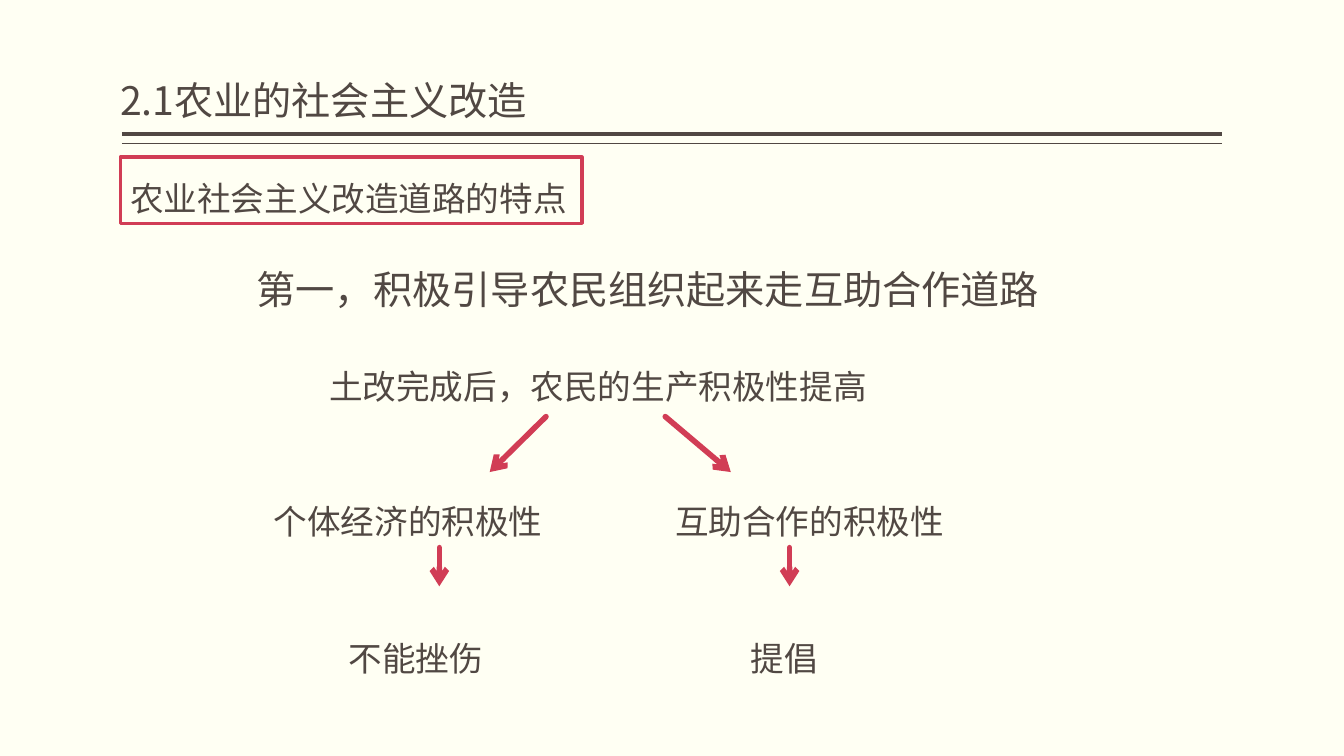
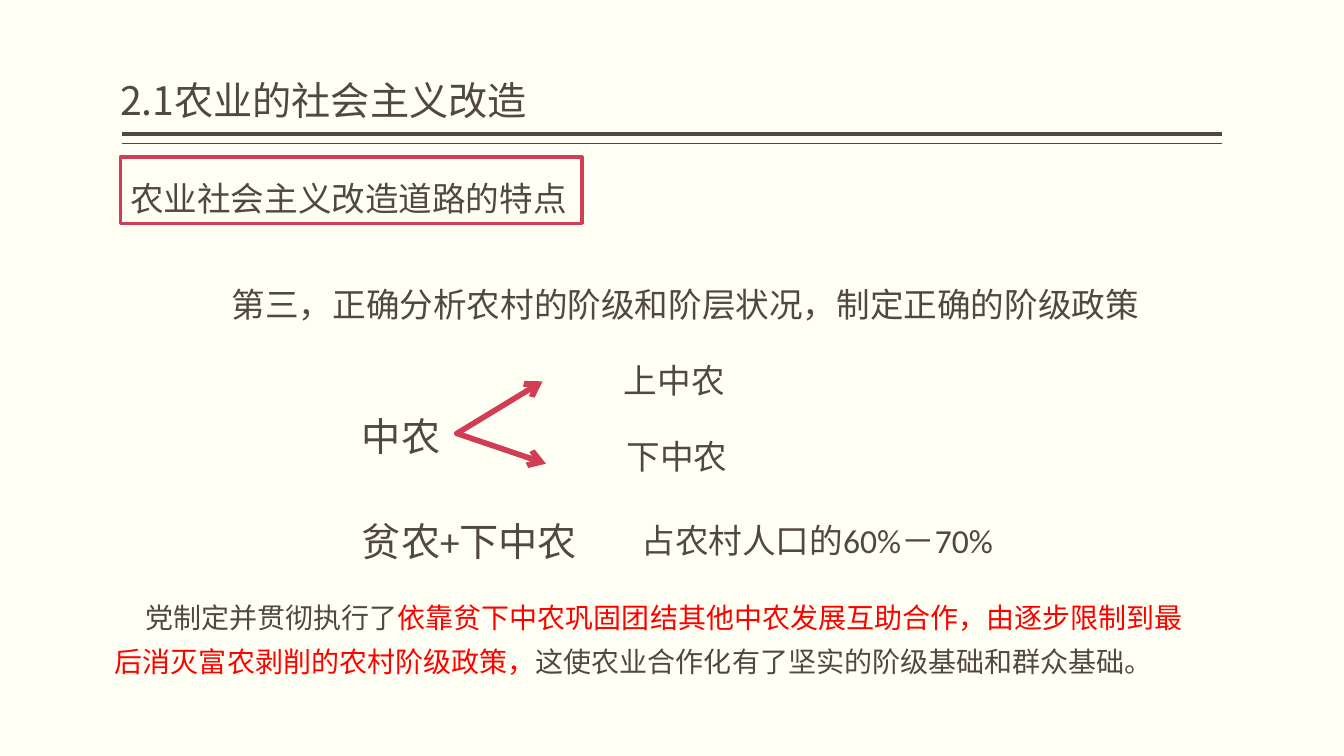
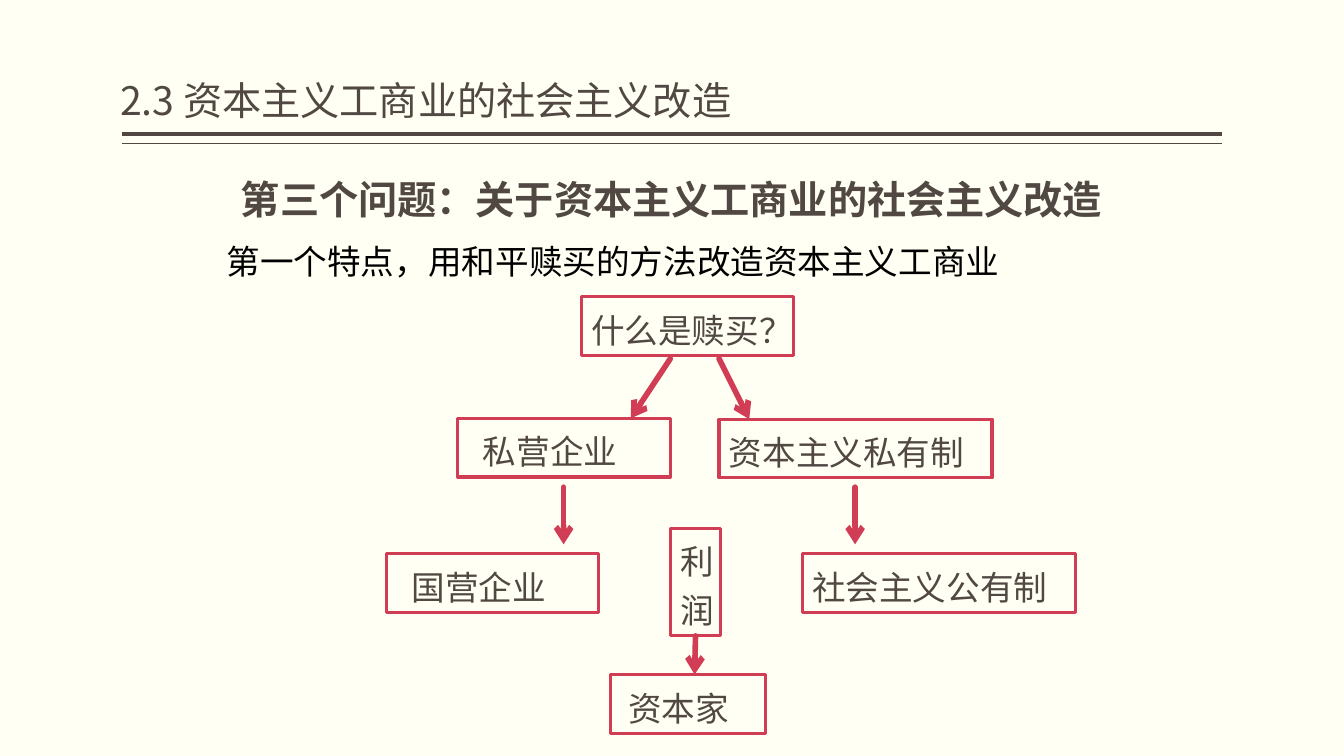
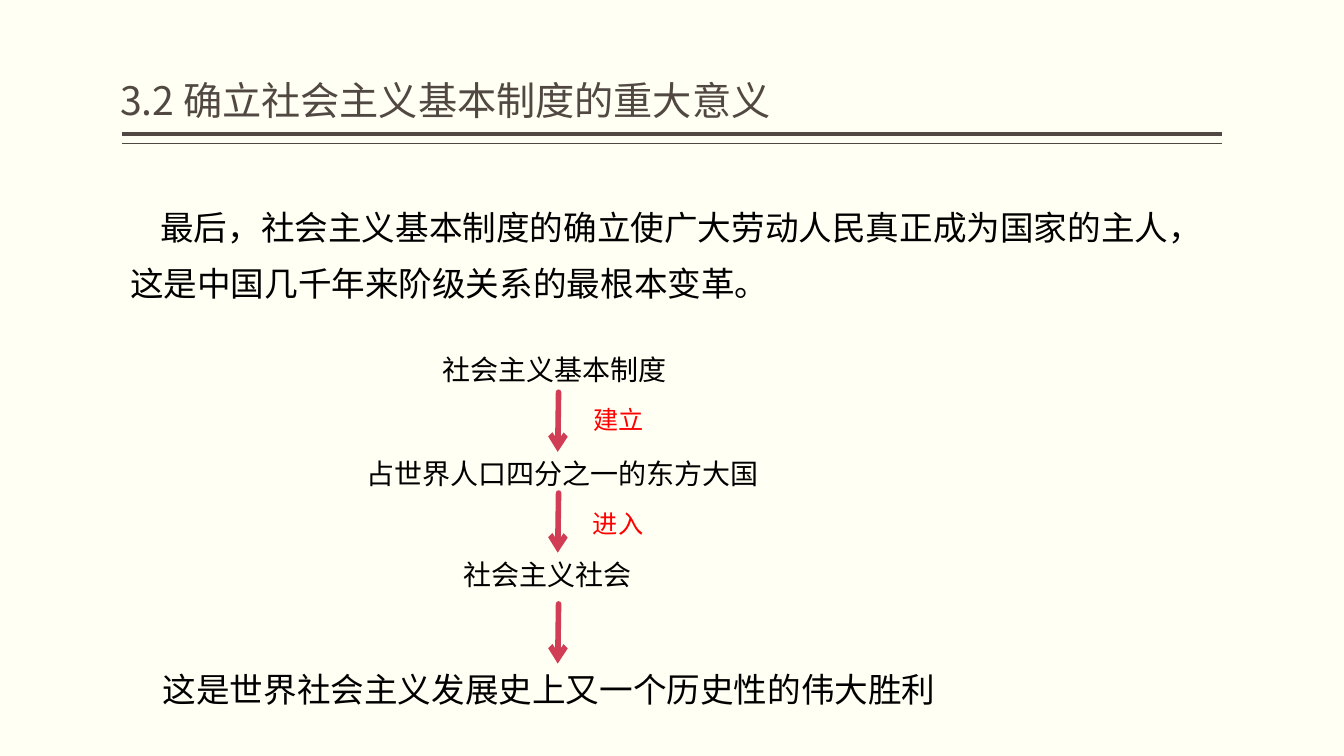
"""Build four slides on the socialist transformation on a 160 by 90 cell grid."""
from dataclasses import dataclass

import pptx
import pptx.dml.color
import pptx.enum.shapes
import pptx.enum.text
import pptx.oxml
import pptx.oxml.ns
import pptx.util
from lxml import etree

RGBColor = pptx.dml.color.RGBColor
PAPER = RGBColor(0xFF, 0xFF, 0xF3)
INK = RGBColor(0x51, 0x48, 0x43)
ROSE = RGBColor(0xD1, 0x3D, 0x55)
RED = RGBColor(0xFF, 0x00, 0x00)
BLACK = RGBColor(0x00, 0x00, 0x00)

CELL = pptx.util.Emu(76200)
COLUMNS, ROWS = 160, 90
BODY_FONT = "Calibri"
CJK_FONT = "Noto Sans CJK SC"
SPACE = 0.9
INSET = 1.2


@dataclass(frozen=True)
class Label:
    """A text block placed in grid cells; red names the part shown in red."""
    text: str
    x: float
    y: float
    w: float
    h: float = 7.9
    size: int = 24
    spacing: float = 1.4
    color: RGBColor = INK
    bold: bool = False
    indent: float = 0
    red: str = ""
    font: str = BODY_FONT
    boxed: bool = False


@dataclass(frozen=True)
class Arrow:
    """An arrow between two grid points, optionally starting below a box."""
    x1: float
    y1: float
    x2: float
    y2: float
    source: str = ""


@dataclass(frozen=True)
class Page:
    """The title, text blocks and arrows of one slide."""
    title: str
    labels: tuple[Label, ...]
    arrows: tuple[Arrow, ...]


def cells(n: float) -> pptx.util.Emu:
    """Convert grid cells to a length."""
    return pptx.util.Emu(round(n * CELL))


def box(text: str, x: float, y: float, w: float, h: float = 7,
        indent: float = 0, spacing: float = 1.2) -> Label:
    """Describe an outlined block."""
    return Label(text, x, y, w, h, spacing=spacing, indent=indent, boxed=True)


def add_label(slide, label: Label):
    """Draw a text block, outlined if it is boxed."""
    area = [cells(n) for n in (label.x, label.y, label.w, label.h)]
    if label.boxed:
        sp = slide.shapes.add_shape(pptx.enum.shapes.MSO_SHAPE.RECTANGLE, *area)
        sp.shadow.inherit = False
        sp.fill.background()
        sp.line.color.rgb = ROSE
        sp.line.width = pptx.util.Pt(2.25)
    else:
        sp = slide.shapes.add_textbox(*area)
    tf = sp.text_frame
    tf.word_wrap = True
    tf.vertical_anchor = pptx.enum.text.MSO_ANCHOR.TOP
    tf.margin_left = cells(INSET)
    tf.margin_right = 0 if label.boxed else cells(INSET)
    p = tf.paragraphs[0]
    p.alignment = pptx.enum.text.PP_ALIGN.LEFT
    p.line_spacing = label.spacing
    if label.indent:
        p._p.get_or_add_pPr().set("indent", str(cells(label.indent)))
    p.font.size = pptx.util.Pt(label.size)
    p.font.bold = label.bold
    p.font.color.rgb = label.color
    p.font.name = label.font
    latin = p._p.pPr.find(".//" + pptx.oxml.ns.qn("a:latin"))
    ea = etree.Element(pptx.oxml.ns.qn("a:ea"), typeface=CJK_FONT)
    latin.addnext(ea)
    parts = label.text.partition(label.red) if label.red else (label.text,)
    for part in filter(None, parts):
        r = p.add_run()
        r.text = part
        if part == label.red:
            r.font.color.rgb = RED
    return sp


def add_line(slide, x1: float, y1: float, x2: float, y2: float,
             color: RGBColor, width: float):
    """Draw a straight line without a shadow."""
    line = slide.shapes.add_connector(
        pptx.enum.shapes.MSO_CONNECTOR.STRAIGHT, *map(cells, (x1, y1, x2, y2)))
    line.line.color.rgb = color
    line.line.width = pptx.util.Pt(width)
    etree.SubElement(line._element.spPr, pptx.oxml.ns.qn("a:effectLst"))
    return line


def add_arrow(slide, arrow: Arrow, shapes: dict) -> None:
    """Draw a round-capped arrow, joined to its source box if it has one."""
    line = add_line(slide, arrow.x1, arrow.y1, arrow.x2, arrow.y2, ROSE, 4)
    ln = line.line._get_or_add_ln()
    ln.set("cap", "rnd")
    etree.SubElement(ln, pptx.oxml.ns.qn("a:round"))
    etree.SubElement(ln, pptx.oxml.ns.qn("a:tailEnd"), type="arrow")
    if arrow.source:
        line.begin_connect(shapes[arrow.source], 2)


def add_title(slide, title: str) -> None:
    """Draw the double rule and the title above it."""
    for y, width in ((16, 3), (17.1, 1)):
        add_line(slide, 14.5, y, 145.5, y, INK, width)
    sp = add_label(slide, Label(title, 14.3, 1, 131, 14.4, size=28,
                                spacing=0.9, font=CJK_FONT))
    tf = sp.text_frame
    tf.margin_left = tf.margin_right = 0
    tf.vertical_anchor = pptx.enum.text.MSO_ANCHOR.BOTTOM


def add_page(prs, page: Page) -> None:
    """Add one slide."""
    slide = prs.slides.add_slide(prs.slide_layouts[6])
    add_title(slide, page.title)
    shapes = {label.text: add_label(slide, label) for label in page.labels}
    for arrow in page.arrows:
        add_arrow(slide, arrow, shapes)


FARMING = "2.1农业的社会主义改造"
FEATURES = box("农业社会主义改造道路的特点", 14.3, 18.7, 55, 7.9, spacing=1.4)

PAGES = (
    Page(FARMING, (
        FEATURES,
        Label("第一，积极引导农民组织起来走互助合作道路", 29.3, 28.7, 101.2, 9.1, size=28),
        Label("土改完成后，农民的生产积极性提高", 38, 41, 68.2),
        Label("个体经济的积极性", 31.4, 57.1, 34.9),
        Label("互助合作的积极性", 79.2, 57.1, 34.9),
        Label("不能挫伤", 40.3, 73.4, 20.5),
        Label("提倡", 88.2, 73.4, 11.5),
    ), (
        Arrow(65, 49.6, 58.3, 56.2),
        Arrow(79.2, 49.6, 87, 56.2),
        Arrow(52.3, 65.2, 52.3, 69.8),
        Arrow(94, 65.2, 94, 69.8),
    )),
    Page(FARMING, (
        FEATURES,
        Label("第三，正确分析农村的阶级和阶层状况，制定正确的阶级政策",
              22.8, 31.3, 122.5, indent=4 * SPACE),
        Label("中农", 41, 46.3, 15, 9.1, size=28, indent=SPACE),
        Label("上中农", 72.2, 40.4, 23.2, indent=SPACE),
        Label("下中农", 72.5, 49.4, 23.2, indent=SPACE),
        Label("贫农+下中农", 41, 58.8, 34.4, 9.1, size=28, indent=SPACE),
        Label("占农村人口的60%－70%", 74.3, 59.4, 61, indent=SPACE),
        Label("党制定并贯彻执行了依靠贫下中农巩固团结其他中农发展互助合作，"
              "由逐步限制到最后消灭富农剥削的农村阶级政策，"
              "这使农业合作化有了坚实的阶级基础和群众基础。",
              12.5, 69.7, 132, 12.7, size=20, spacing=1.3, indent=4 * SPACE,
              red="依靠贫下中农巩固团结其他中农发展互助合作，"
                  "由逐步限制到最后消灭富农剥削的农村阶级政策，"),
    ), (
        Arrow(54.4, 51.6, 64.6, 45.4),
        Arrow(54.4, 51.6, 65, 55.2),
    )),
    Page("2.3 资本主义工商业的社会主义改造", (
        Label("第三个问题：关于资本主义工商业的社会主义改造",
              27.5, 18, 108.7, 9.1, size=28, bold=True),
        Label("第一个特点，用和平赎买的方法改造资本主义工商业",
              24, 27.1, 98.9, 7, spacing=1.2, color=BLACK, indent=2 * SPACE),
        box("什么是赎买？", 69.2, 35.3, 25.3),
        box("私营企业", 54.5, 49.8, 25.3, indent=2 * SPACE),
        box("资本主义私有制", 85.6, 49.9, 32.5),
        box("国营企业", 46, 65.9, 25.3, indent=2 * SPACE),
        box("社会主义公有制", 95.5, 65.9, 32.5),
        box("利润", 79.8, 62.9, 6, 12.8),
        box("资本家", 72.7, 80.3, 18.4, indent=SPACE),
    ), (
        Arrow(79.8, 42.7, 75.1, 49.8),
        Arrow(85.6, 42.7, 89.2, 49.9),
        Arrow(67.1, 58, 67.1, 64.8),
        Arrow(101.8, 58, 101.8, 64.8),
        Arrow(82.8, 75.7, 82.7, 80.3, source="利润"),
    )),
    Page("3.2 确立社会主义基本制度的重大意义", (
        Label("最后，社会主义基本制度的确立使广大劳动人民真正成为国家的主人，"
              "这是中国几千年来阶级关系的最根本变革。",
              14.3, 22.1, 132.7, 14.8, color=BLACK, indent=4 * SPACE),
        Label("社会主义基本制度", 51.5, 41.4, 45, 5.3, 20, 1, BLACK),
        Label("占世界人口四分之一的东方大国", 42.4, 53.8, 65.4, 5.3, 20, 1, BLACK),
        Label("社会主义社会", 54, 65.8, 45, 5.3, 20, 1, BLACK),
        Label("这是世界社会主义发展史上又一个历史性的伟大胜利",
              18.2, 79, 108.2, 6, 24, 1, BLACK),
        Label("建立", 69.5, 47.6, 45, 4.8, 18, 1, RED),
        Label("进入", 69.4, 59.9, 45, 4.8, 18, 1, RED),
    ), tuple(Arrow(66.5, y, 66.4, y + 7.1) for y in (46.7, 58.7, 71.9))),
)


def main() -> None:
    """Build and save the presentation."""
    prs = pptx.Presentation()
    prs.slide_width = cells(COLUMNS)
    prs.slide_height = cells(ROWS)
    fill = prs.slide_master.background.fill
    fill.solid()
    fill.fore_color.rgb = PAPER
    for page in PAGES:
        add_page(prs, page)
    prs.save("out.pptx")


if __name__ == "__main__":
    main()
